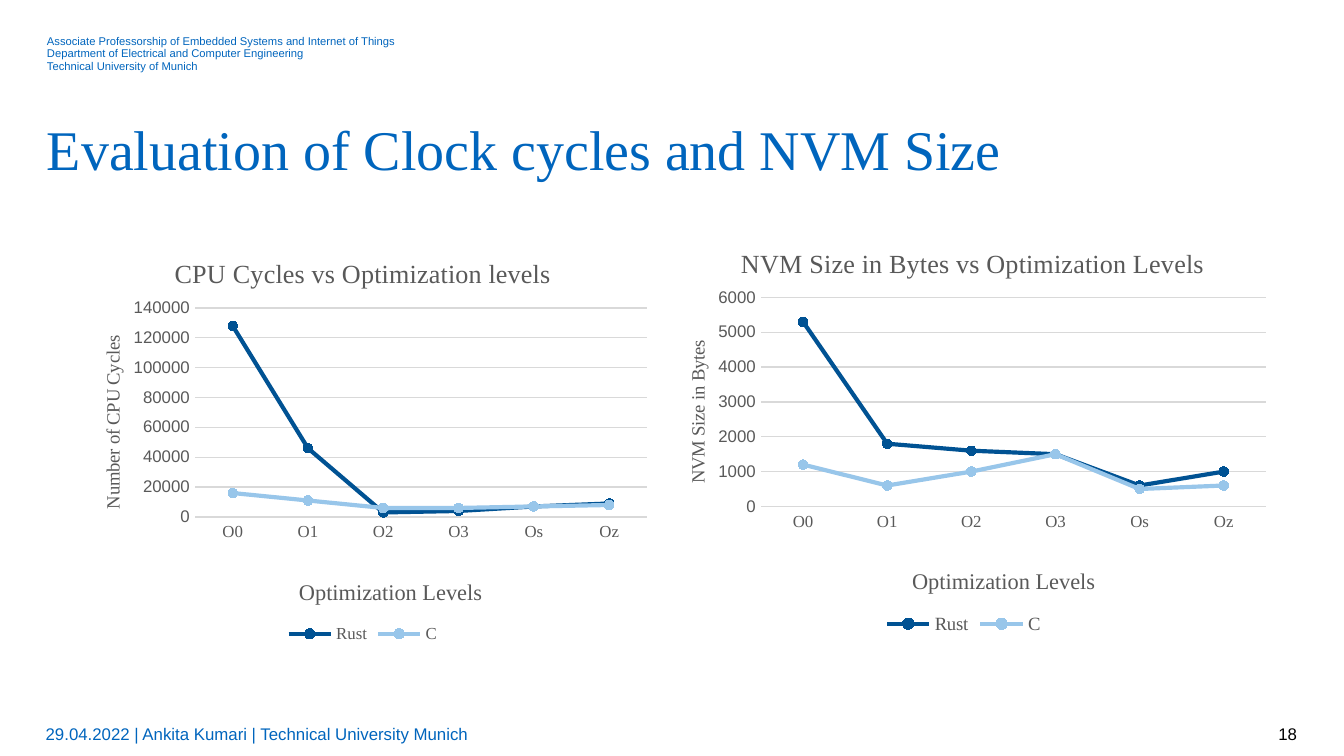
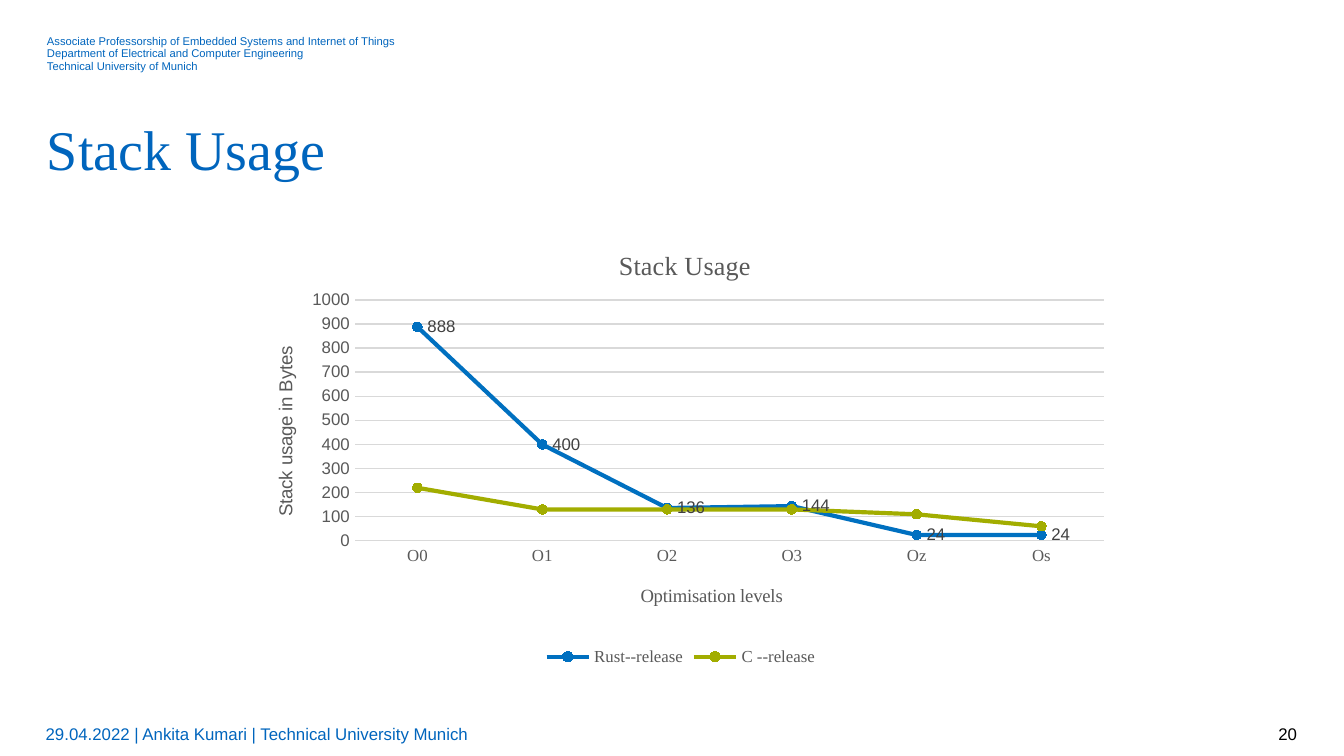
from lxml import etree
from pptx import Presentation
from pptx.chart.data import CategoryChartData
from pptx.dml.color import RGBColor
from pptx.enum.chart import (XL_CHART_TYPE, XL_LABEL_POSITION, XL_LEGEND_POSITION,
                             XL_MARKER_STYLE, XL_TICK_MARK)
from pptx.enum.text import MSO_ANCHOR, PP_ALIGN
from pptx.oxml.ns import qn
from pptx.util import Pt

LINE_MARKERS = XL_CHART_TYPE.LINE_MARKERS
LABEL_RIGHT = XL_LABEL_POSITION.RIGHT
LEGEND_BOTTOM = XL_LEGEND_POSITION.BOTTOM
CIRCLE = XL_MARKER_STYLE.CIRCLE
NO_TICK = XL_TICK_MARK.NONE
TOP, MIDDLE = MSO_ANCHOR.TOP, MSO_ANCHOR.MIDDLE
LEFT, RIGHT = PP_ALIGN.LEFT, PP_ALIGN.RIGHT

BLUE = RGBColor(0x00, 0x65, 0xBD)
DARK_BLUE = RGBColor(0x00, 0x52, 0x93)
LIGHT_BLUE = RGBColor(0x98, 0xC6, 0xEA)
CHART_BLUE = RGBColor(0x00, 0x70, 0xC0)
GREEN = RGBColor(0xA2, 0xAD, 0x00)
BLACK = RGBColor(0x00, 0x00, 0x00)
GREY = RGBColor(0x59, 0x59, 0x59)
LABEL_GREY = RGBColor(0x40, 0x40, 0x40)
GRID_GREY = RGBColor(0xD9, 0xD9, 0xD9)
SANS, SERIF = "Arial", "Times New Roman"

HEADER = [
    "Associate Professorship of Embedded Systems and Internet of Things",
    "Department of Electrical and Computer Engineering",
    "Technical University of Munich",
]
FOOTER = "29.04.2022 | Ankita Kumari | Technical University Munich"

# Boxes are (left, top, width, height) on the slide, in points.
# Chart and axis titles are (text, font, size, left, top).
CPU_CYCLES = {
    "frame": (35.3, 123.1, 318.2, 224.6),
    "plot": (104.5, 165, 242.1, 112),
    "title": ("CPU Cycles vs Optimization levels", SERIF, 14, 91, 135),
    "x_title": ("Optimization Levels", SERIF, 12, 158, 307.5),
    "y_title": ("Number of CPU Cycles", SERIF, 10, 52, 178),
    "y_max": 140000, "y_step": 20000, "legend_size": 9,
    "levels": ["O0", "O1", "O2", "O3", "Os", "Oz"],
    "series": [
        ("Rust", DARK_BLUE, [128000, 46000, 3000, 4000, 7000, 9000], False),
        ("C", LIGHT_BLUE, [16000, 11000, 6000, 6000, 7000, 8000], False),
    ],
}
NVM_SIZE = {
    "frame": (347.8, 118.1, 337, 224.6),
    "plot": (407.7, 159.4, 270.5, 112),
    "title": ("NVM Size in Bytes vs Optimization Levels", SERIF, 14, 394.3, 129.5),
    "x_title": ("Optimization Levels", SERIF, 12, 486.4, 302),
    "y_title": ("NVM Size in Bytes", SERIF, 10, 365.4, 180.5),
    "y_max": 6000, "y_step": 1000, "legend_size": 10,
    "levels": ["O0", "O1", "O2", "O3", "Os", "Oz"],
    "series": [
        ("Rust", DARK_BLUE, [5300, 1800, 1600, 1500, 600, 1000], False),
        ("C", LIGHT_BLUE, [1200, 600, 1000, 1500, 500, 600], False),
    ],
}
STACK_USAGE = {
    "frame": (128.2, 117.4, 473, 242.6),
    "plot": (190.2, 160.7, 401.2, 129.1),
    "title": ("Stack Usage", SERIF, 14, 329, 130.7),
    "x_title": ("Optimisation levels", SERIF, 10, 341.3, 311),
    "y_title": ("Stack usage in Bytes", SANS, 10, 144.6, 183.8),
    "y_max": 1000, "y_step": 100, "legend_size": 9,
    "levels": ["O0", "O1", "O2", "O3", "Oz", "Os"],
    "series": [
        ("Rust--release", CHART_BLUE, [888, 400, 136, 144, 24, 24], True),
        ("C --release", GREEN, [220, 130, 130, 130, 110, 60], False),
    ],
}
SLIDES = [
    ("Evaluation of Clock cycles and NVM Size", 18, [CPU_CYCLES, NVM_SIZE]),
    ("Stack Usage", 20, [STACK_USAGE]),
]


def set_font(font, name, size, color):
    font.name, font.size, font.bold = name, Pt(size), False
    font.color.rgb = color


def add_text(slide, box, lines, name, size, color,
             anchor=TOP, align=LEFT, spacing=1.0, margin=0):
    tf = slide.shapes.add_textbox(*map(Pt, box)).text_frame
    tf.word_wrap = True
    tf.vertical_anchor = anchor
    tf.margin_left = tf.margin_right = 0
    tf.margin_top = tf.margin_bottom = Pt(margin)
    tf.text = "\n".join(lines)
    for p in tf.paragraphs:
        p.alignment, p.line_spacing = align, spacing
        set_font(p.runs[0].font, name, size, color)


def place(element, frame, box, inner=False):
    """Give a chart part a fixed place, as fractions of the chart frame."""
    old = element.find(qn("c:layout"))
    if old is not None:
        element.remove(old)
    layout = etree.Element(qn("c:layout"))
    manual = etree.SubElement(layout, qn("c:manualLayout"))
    values = [("layoutTarget", "inner")] if inner else []
    values += [("xMode", "edge"), ("yMode", "edge")]
    fractions = [(box[0] - frame[0]) / frame[2], (box[1] - frame[1]) / frame[3]]
    if inner:
        fractions += [box[2] / frame[2], box[3] / frame[3]]
    values += [(k, f"{v:.4f}") for k, v in zip("xywh", fractions)]
    for tag, value in values:
        etree.SubElement(manual, qn(f"c:{tag}")).set("val", value)
    tx = element.find(qn("c:tx"))
    element.insert(0 if tx is None else element.index(tx) + 1, layout)


def set_title(title, frame, text, name, size, left, top, rotated=False):
    tf = title.text_frame
    tf.text = text
    set_font(tf.paragraphs[0].runs[0].font, name, size, GREY)
    if rotated:
        title.element.find(".//" + qn("a:bodyPr")).set("rot", "-5400000")
    place(title.element, frame, (left, top))


def style_axes(chart, content):
    frame = content["frame"]
    x, y = chart.category_axis, chart.value_axis
    for axis, name in ((x, SERIF), (y, SANS)):
        axis.major_tick_mark = axis.minor_tick_mark = NO_TICK
        set_font(axis.tick_labels.font, name, 9, GREY)
    set_title(x.axis_title, frame, *content["x_title"])
    set_title(y.axis_title, frame, *content["y_title"], rotated=True)
    y.minimum_scale, y.maximum_scale = 0, content["y_max"]
    y.major_unit = content["y_step"]
    y.format.line.fill.background()
    for line in (x.format.line, y.major_gridlines.format.line):
        line.color.rgb, line.width = GRID_GREY, Pt(0.75)


def style_series(series, color, labelled):
    series.smooth = False
    series.format.line.color.rgb = color
    series.format.line.width = Pt(2.25)
    marker = series.marker
    marker.style, marker.size = CIRCLE, 5
    marker.format.fill.solid()
    marker.format.fill.fore_color.rgb = color
    marker.format.line.color.rgb = color
    if labelled:
        labels = series.data_labels
        labels.show_value = True
        labels.position = LABEL_RIGHT
        set_font(labels.font, SANS, 9, LABEL_GREY)


def add_line_chart(slide, content):
    data = CategoryChartData()
    data.categories = content["levels"]
    for name, _, values, _ in content["series"]:
        data.add_series(name, values)
    frame = content["frame"]
    chart = slide.shapes.add_chart(LINE_MARKERS, *map(Pt, frame), data).chart
    set_font(chart.font, SANS, 10, BLACK)
    chart.plots[0].vary_by_categories = False

    set_title(chart.chart_title, frame, *content["title"])
    place(chart.element.find(".//" + qn("c:plotArea")), frame, content["plot"], inner=True)
    style_axes(chart, content)
    for series, (_, color, _, labelled) in zip(chart.plots[0].series, content["series"]):
        style_series(series, color, labelled)

    chart.has_legend = True
    chart.legend.position = LEGEND_BOTTOM
    chart.legend.include_in_layout = False
    set_font(chart.legend.font, SERIF, content["legend_size"], GREY)


def add_slide(prs, title, number, charts):
    slide = prs.slides.add_slide(prs.slide_layouts[6])
    add_text(slide, (25.2, 18.7, 606, 21), HEADER, SANS, 6, BLUE, spacing=0.94)
    add_text(slide, (25.2, 59, 670, 39), [title], SERIF, 30, BLUE, spacing=1.07)
    add_text(slide, (24.5, 382.3, 509, 21.6), [FOOTER], SANS, 9, BLUE, MIDDLE, margin=3)
    add_text(slide, (533.5, 382.3, 161.3, 21.6), [str(number)], SANS, 9, BLACK,
             MIDDLE, RIGHT, margin=3)
    for content in charts:
        add_line_chart(slide, content)


def main():
    prs = Presentation()
    prs.slide_width, prs.slide_height = Pt(720), Pt(405)
    for title, number, charts in SLIDES:
        add_slide(prs, title, number, charts)
    prs.save("out.pptx")


if __name__ == "__main__":
    main()
